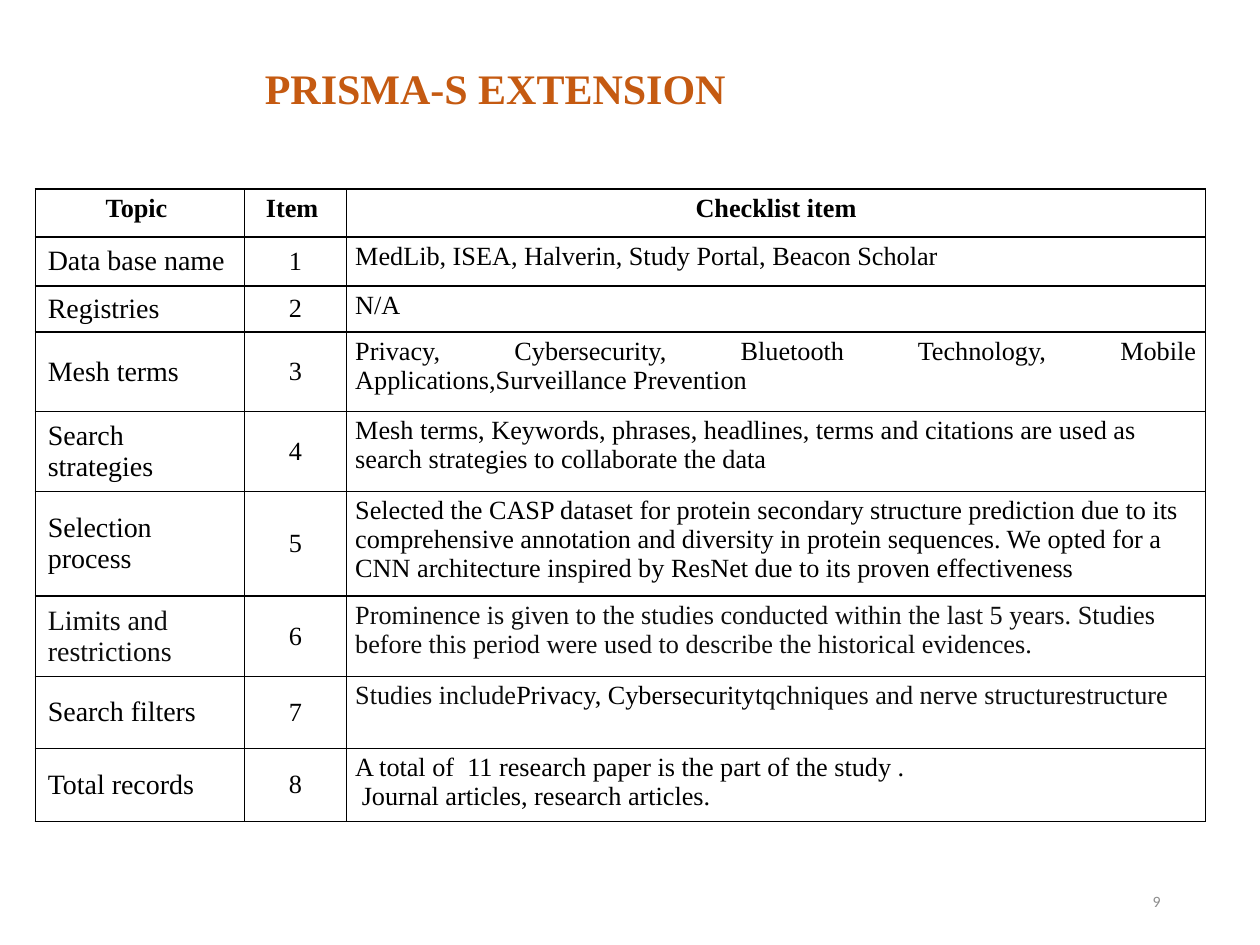
from dataclasses import dataclass

from lxml import etree
from pptx import Presentation
from pptx import util as u
from pptx.dml.color import RGBColor
from pptx.enum import text
from pptx.oxml import ns

COLOURS = {"title": "C55A11", "ink": "000000", "soft": "0D0D0D",
           "number": "8C8C8C", "paper": "FFFFFF"}
SERIF = "Times New Roman"
ALIGN = text.PP_ALIGN
MIDDLE = text.MSO_ANCHOR.MIDDLE
TOP = text.MSO_ANCHOR.TOP


@dataclass
class Style:
    size: float
    font: str = SERIF
    colour: str = "ink"
    bold: bool = False
    align: ALIGN = ALIGN.LEFT
    line_spacing: float | None = None
    space: float = 0


@dataclass
class Entry:
    """One checklist row; each paragraph is a list of (words, colour) spans."""
    topic: str
    height: float
    paragraphs: list[list[tuple[str, str]]]
    topic_colour: str = "ink"
    align: ALIGN = ALIGN.LEFT
    space: float = 0


HEADINGS = ["Topic ", "Item ", "Checklist item"]
HEADING_HEIGHT = 0.38
COLUMN_WIDTHS = [1.66, 0.81, 6.82]
ENTRIES = [
    Entry("Data base name", 0.39,
          [[("MedLib, ISEA, Halverin, Study Portal, Beacon Scholar", "ink")]]),
    Entry("Registries", 0.33, [[("N/A", "ink")]], space=6),
    Entry("Mesh terms", 0.63,
          [[("Privacy, Cybersecurity, Bluetooth Technology, Mobile "
             "Applications,Surveillance Prevention", "ink")]], align=ALIGN.JUSTIFY),
    Entry("Search strategies", 0.63,
          [[("Mesh terms, Keywords, phrases, headlines, terms and citations are used as "
             "search strategies to collaborate the data", "ink")]]),
    Entry("Selection process", 0.82,
          [[("Selected the CASP dataset for protein secondary structure prediction due to "
             "its comprehensive annotation and diversity in protein sequences. We opted for "
             "a CNN architecture inspired by ResNet due to its proven effectiveness", "ink")]]),
    Entry("Limits and restrictions", 0.64,
          [[("Prominence is given to the studies conducted within the last 5 years. Studies "
             "before this period were used to describe the historical evidences.", "soft")]],
          topic_colour="soft"),
    Entry("Search filters", 0.57,
          [[("Studies include", "soft"), ("Privacy, Cybersecurity", "ink"),
            ("tqchniques and nerve structurestructure", "soft")]]),
    Entry("Total records", 0.57,
          [[("A total of  11 research paper is the part of the study .", "ink")],
           [(" Journal articles, research articles.", "ink")]]),
]


def set_all(target, values: dict) -> None:
    for name, value in values.items():
        setattr(target, name, value)


def write(frame, paragraphs: list[list[tuple[str, str]]], style: Style) -> None:
    for index, spans in enumerate(paragraphs):
        para = frame.paragraphs[0] if index == 0 else frame.add_paragraph()
        set_all(para, {"alignment": style.align, "line_spacing": style.line_spacing,
                       "space_before": u.Pt(style.space), "space_after": u.Pt(style.space)})
        for words, colour in spans:
            span = para.add_run()
            span.text = words
            set_all(span.font, {"name": style.font, "size": u.Pt(style.size),
                                "bold": style.bold})
            span.font.color.rgb = RGBColor.from_string(COLOURS[colour])


def add_text(page, area: tuple[float, ...], words: str, style: Style) -> None:
    box = page.shapes.add_textbox(*map(u.Inches, area))
    set_all(box.text_frame, {"word_wrap": True, "vertical_anchor": MIDDLE})
    write(box.text_frame, [[(words, style.colour)]], style)


def add_borders(cell) -> None:
    properties = cell._tc.get_or_add_tcPr()
    for index, side in enumerate(("lnL", "lnR", "lnT", "lnB")):
        line = etree.Element(ns.qn(f"a:{side}"), w=str(u.Pt(1)))
        fill = etree.SubElement(line, ns.qn("a:solidFill"))
        etree.SubElement(fill, ns.qn("a:srgbClr"), val=COLOURS["ink"])
        properties.insert(index, line)


def fill_cell(cell, paragraphs: list[list[tuple[str, str]]], style: Style,
              anchor=TOP, margins: tuple[float, float] = (0.07, 0.04)) -> None:
    across, down = map(u.Inches, margins)
    set_all(cell, {"margin_left": across, "margin_right": across, "margin_top": down,
                   "margin_bottom": down, "vertical_anchor": anchor})
    cell.fill.solid()
    cell.fill.fore_color.rgb = RGBColor.from_string(COLOURS["paper"])
    add_borders(cell)
    write(cell.text_frame, paragraphs, style)


def add_checklist(page) -> None:
    heights = [HEADING_HEIGHT] + [entry.height for entry in ENTRIES]
    area = (0.28, 1.5, sum(COLUMN_WIDTHS), sum(heights))
    table = page.shapes.add_table(len(heights), len(COLUMN_WIDTHS),
                                  *map(u.Inches, area)).table
    set_all(table, {"first_row": False, "horz_banding": False})
    for column, width in zip(table.columns, COLUMN_WIDTHS):
        column.width = u.Inches(width)
    for row, height in zip(table.rows, heights):
        row.height = u.Inches(height)

    # Heading row
    for column, words in enumerate(HEADINGS):
        fill_cell(table.cell(0, column), [[(words, "ink")]],
                  Style(15, bold=True, align=ALIGN.CENTER))

    # Numbered entries
    for number, entry in enumerate(ENTRIES, start=1):
        topic, item, details = table.rows[number].cells
        fill_cell(topic, [[(entry.topic, entry.topic_colour)]], Style(16),
                  MIDDLE, (0.1, 0.05))
        fill_cell(item, [[(str(number), "ink")]], Style(15, align=ALIGN.CENTER), MIDDLE)
        fill_cell(details, entry.paragraphs,
                  Style(15, align=entry.align, space=entry.space))


def main() -> None:
    deck = Presentation()
    set_all(deck, {"slide_width": u.Inches(10), "slide_height": u.Inches(7.5)})
    page = deck.slides.add_slide(deck.slide_layouts[6])

    # Title, checklist and page number
    add_text(page, (1.92, 0.42, 6.75, 0.6), " PRISMA-S EXTENSION",
             Style(24, colour="title", bold=True, line_spacing=0.9))
    add_checklist(page)
    add_text(page, (7.06, 6.95, 2.25, 0.4), "9",
             Style(9, font="Calibri", colour="number", align=ALIGN.RIGHT))

    deck.save("out.pptx")


if __name__ == "__main__":
    main()
